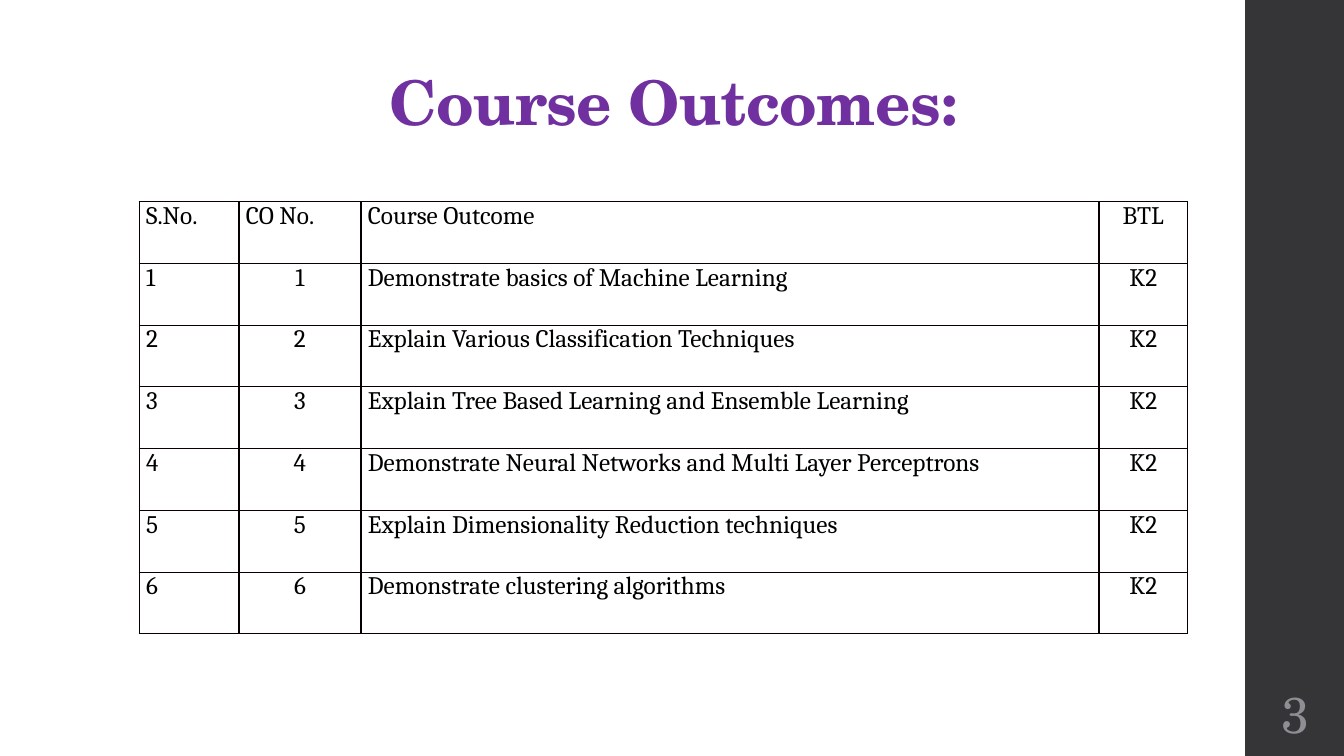
from lxml import etree
from pptx import Presentation
from pptx.dml.color import RGBColor
from pptx.enum.shapes import MSO_SHAPE
from pptx.enum.text import MSO_ANCHOR, PP_ALIGN
from pptx.oxml.ns import qn
from pptx.util import Inches, Pt

LEFT, CENTER = PP_ALIGN.LEFT, PP_ALIGN.CENTER
MIDDLE, BOTTOM = MSO_ANCHOR.MIDDLE, MSO_ANCHOR.BOTTOM
RECTANGLE = MSO_SHAPE.RECTANGLE

# Content
TITLE = "Course Outcomes:"
PAGE_NUMBER = "3"
HEADER = ("S.No.", "CO No.", "Course Outcome", "BTL")
OUTCOMES = [
    "Demonstrate basics of Machine Learning",
    "Explain Various Classification Techniques",
    "Explain Tree Based Learning and Ensemble Learning",
    "Demonstrate Neural Networks and Multi Layer Perceptrons",
    "Explain Dimensionality Reduction techniques",
    "Demonstrate clustering algorithms",
]
LEVEL = "K2"

# Style
DISPLAY_FONT, TABLE_FONT = "TeX Gyre Schola", "Cambria"
PURPLE = RGBColor(0x70, 0x30, 0xA0)
CHARCOAL = RGBColor(0x35, 0x35, 0x37)
GRAY = RGBColor(0x8E, 0x8E, 0x94)
BLACK = RGBColor(0x00, 0x00, 0x00)
BORDER = RGBColor(0x08, 0x00, 0x00)
COLUMN_WIDTHS = (0.99, 1.21, 7.32, 0.88)
TABLE_HEIGHT = 4.29
BAND_LEFT, BAND_WIDTH = 12.35, 1


def format_paragraph(para, font, size, color, align):
    para.alignment = align
    para.font.name = font
    para.font.size = Pt(size)
    para.font.color.rgb = color


def add_borders(cell):
    properties = cell._tc.get_or_add_tcPr()
    for side in ("a:lnL", "a:lnR", "a:lnT", "a:lnB"):
        line = etree.SubElement(properties, qn(side), w=str(Pt(1)))
        fill = etree.SubElement(line, qn("a:solidFill"))
        etree.SubElement(fill, qn("a:srgbClr"), val=str(BORDER))


def add_title(page):
    title = page.shapes.title
    title.left, title.top = Inches(1.38), Inches(0.4)
    title.width, title.height = Inches(10.6), Inches(1.03)
    frame = title.text_frame
    frame.text = TITLE
    frame.vertical_anchor = BOTTOM
    para = frame.paragraphs[0]
    format_paragraph(para, DISPLAY_FONT, 44, PURPLE, CENTER)
    para.font.bold = True
    para.line_spacing = 0.9
    # Tighten the letters by half a point
    para.runs[0]._r.get_or_add_rPr().set("spc", "-50")


def add_side_band(page):
    band = page.shapes.add_shape(RECTANGLE, Inches(BAND_LEFT), 0,
                                 Inches(BAND_WIDTH), Inches(7.5))
    band.shadow.inherit = False
    band.fill.solid()
    band.fill.fore_color.rgb = CHARCOAL
    band.line.fill.background()

    # Page number on the band
    box = page.shapes.add_textbox(Inches(BAND_LEFT), Inches(6.75),
                                  Inches(BAND_WIDTH), Inches(0.65))
    frame = box.text_frame
    frame.word_wrap = True
    frame.vertical_anchor = MIDDLE
    frame.margin_left = frame.margin_right = Inches(0.05)
    frame.margin_top = frame.margin_bottom = Inches(0.05)
    frame.text = PAGE_NUMBER
    format_paragraph(frame.paragraphs[0], DISPLAY_FONT, 36, GRAY, CENTER)


def add_outcome_table(page):
    rows = [HEADER] + [(str(number), str(number), outcome, LEVEL)
                       for number, outcome in enumerate(OUTCOMES, 1)]
    table = page.shapes.add_table(
        len(rows), len(HEADER), Inches(1.38), Inches(2),
        Inches(sum(COLUMN_WIDTHS)), Inches(TABLE_HEIGHT)).table
    table.first_row = table.horz_banding = False
    for column, width in zip(table.columns, COLUMN_WIDTHS):
        column.width = Inches(width)

    for row_index, values in enumerate(rows):
        # CO numbers are centred below a left-aligned heading
        number_align = CENTER if row_index else LEFT
        aligns = (LEFT, number_align, LEFT, CENTER)
        for column_index, (value, align) in enumerate(zip(values, aligns)):
            cell = table.cell(row_index, column_index)
            cell.text = value
            cell.margin_left = cell.margin_right = Inches(0.07)
            cell.margin_top = cell.margin_bottom = 0
            format_paragraph(cell.text_frame.paragraphs[0],
                             TABLE_FONT, 18, BLACK, align)
            add_borders(cell)
            cell.fill.background()


def main():
    deck = Presentation()
    deck.slide_width, deck.slide_height = Inches(13.33), Inches(7.5)
    page = deck.slides.add_slide(deck.slide_layouts.get_by_name("Title Only"))
    add_side_band(page)
    add_title(page)
    add_outcome_table(page)
    deck.save("out.pptx")


if __name__ == "__main__":
    main()
